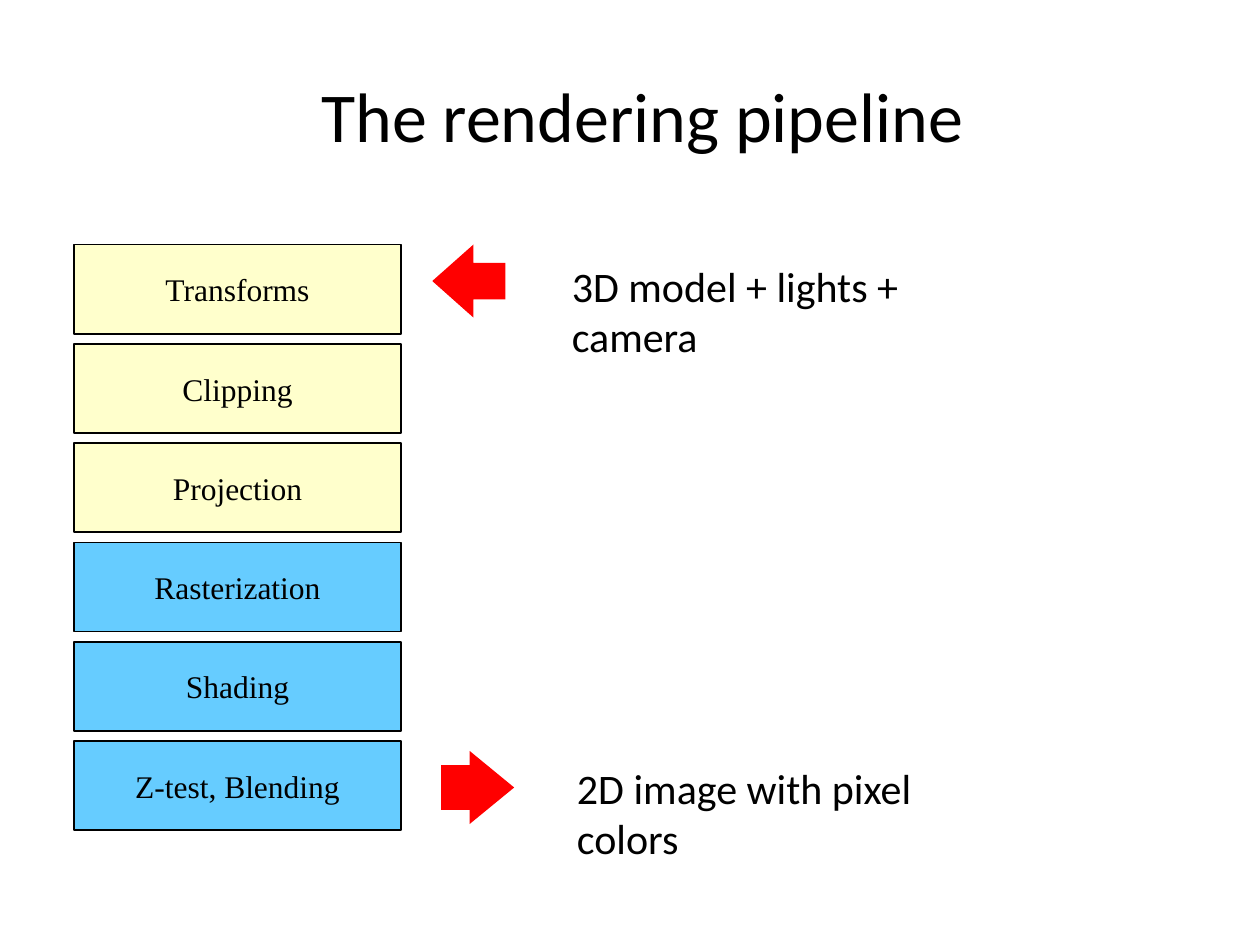
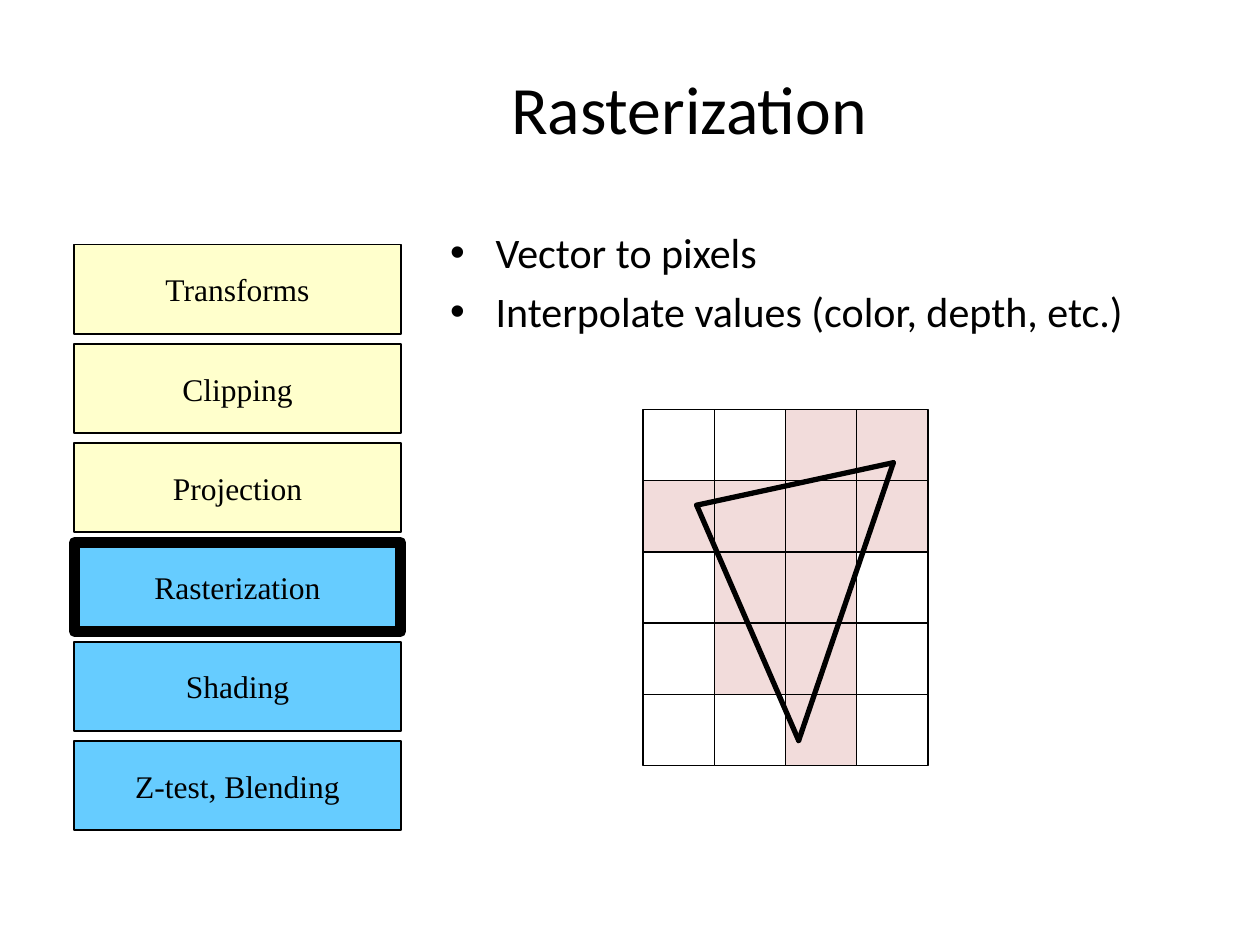
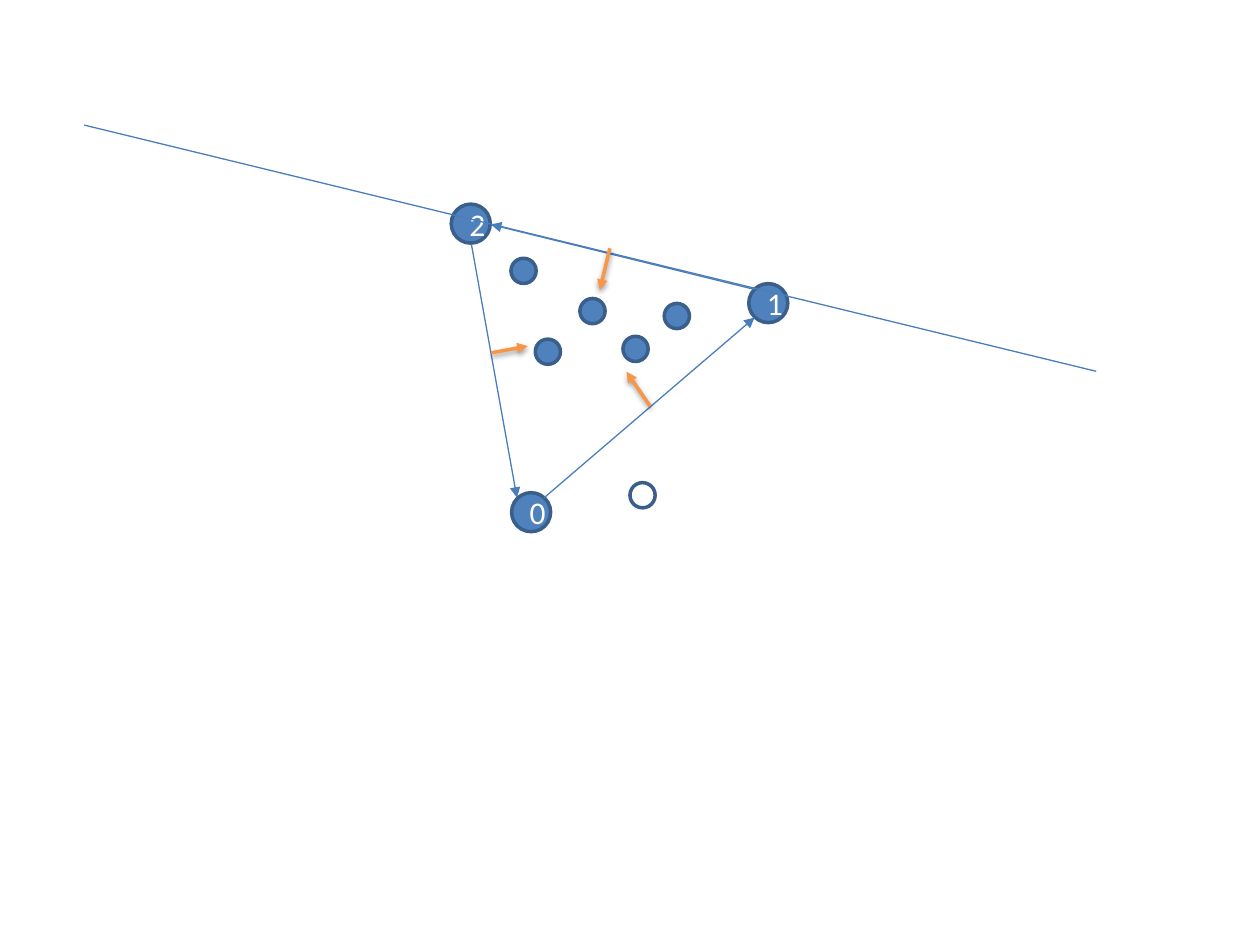
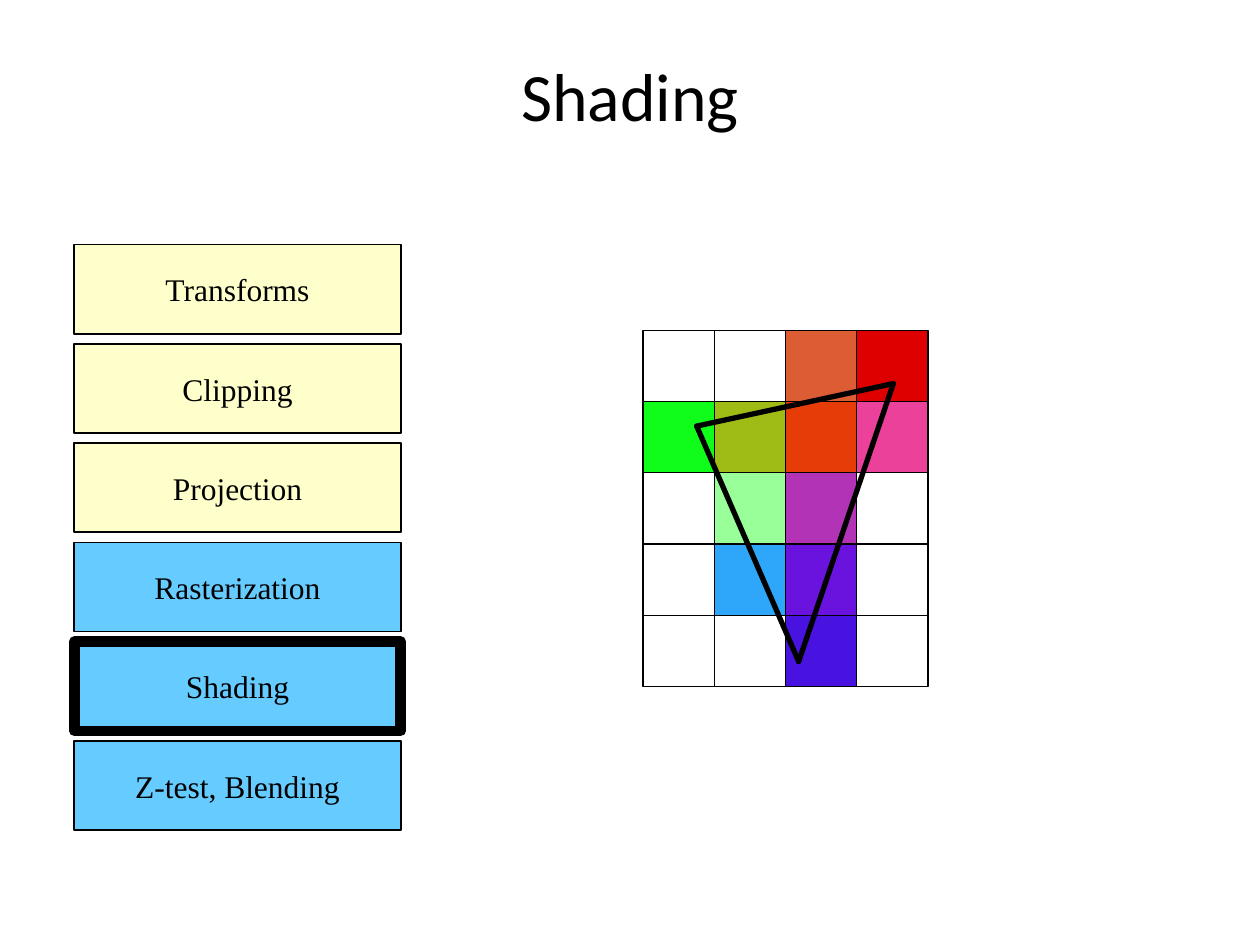
from lxml.etree import SubElement
from pptx import Presentation
from pptx.dml.color import RGBColor
from pptx.enum.shapes import MSO_CONNECTOR, MSO_SHAPE
from pptx.enum.text import MSO_ANCHOR, PP_ALIGN
from pptx.oxml.ns import qn
from pptx.util import Pt

# Shared look
BLACK, WHITE = "000000", "FFFFFF"
YELLOW, SKY, RED, PINK = "FFFFCC", "66CCFF", "FF0000", "F2DCDB"
BLUE, DARK_BLUE, EDGE_BLUE, ORANGE = "4F81BD", "3A5F8B", "4A7EBB", "F79646"
SANS, SERIF = "Calibri", "Times New Roman"

STAGES = [
    ("Transforms", YELLOW), ("Clipping", YELLOW), ("Projection", YELLOW),
    ("Rasterization", SKY), ("Shading", SKY), ("Z-test, Blending", SKY),
]
STAGE_LEFT, STAGE_TOP, STAGE_WIDTH, STAGE_HEIGHT = 42.5, 139.7, 186.5, 51
STAGE_PITCH = 56.75

PIXEL = 40.7
GRID_LEFT = 367.5
TRIANGLE = [(30.6, 54.7), (88.9, 189.2), (143, 30.4)]  # from the grid corner

# Pixel colours by row; None stays white
COVERED = [
    [None, None, PINK, PINK],
    [PINK, PINK, PINK, PINK],
    [None, PINK, PINK, None],
    [None, PINK, PINK, None],
    [None, None, PINK, None],
]
SHADED = [
    [None, None, "DC5C34", "DE0000"],
    ["10FC1B", "9FBB15", "E63D08", "EB419A"],
    [None, "99FF99", "B333B6", None],
    [None, "2EA7FA", "6A13DF", None],
    [None, None, "4812E0", None],
]


def color(hex_code):
    return RGBColor.from_string(hex_code)


def write_text(frame, *lines, size=24, font=SANS, ink=BLACK, align=PP_ALIGN.LEFT,
               anchor=MSO_ANCHOR.TOP, wrap=True, bullet=None, before=0):
    frame.word_wrap = wrap
    frame.vertical_anchor = anchor
    for number, line in enumerate(lines):
        paragraph = frame.add_paragraph() if number else frame.paragraphs[0]
        paragraph.alignment = align
        paragraph.space_before = Pt(before)
        run = paragraph.add_run()
        run.text = line
        run.font.size, run.font.name = Pt(size), font
        run.font.color.rgb = color(ink)
        if bullet:
            properties = paragraph._p.get_or_add_pPr()
            properties.set("marL", str(Pt(27)))
            properties.set("indent", str(Pt(-26)))
            SubElement(properties, qn("a:buFont"), typeface="Arial")
            SubElement(properties, qn("a:buChar"), char=bullet)


def add_text(slide, left, top, width, height, *lines, **text_format):
    box = slide.shapes.add_textbox(Pt(left), Pt(top), Pt(width), Pt(height))
    write_text(box.text_frame, *lines, **text_format)


def add_title(slide, title, left, top, width=612, height=48, size=38.7):
    add_text(slide, left, top, width, height, title, size=size,
             align=PP_ALIGN.CENTER, anchor=MSO_ANCHOR.MIDDLE)


def add_figure(shapes, kind, left, top, width, height, fill, line=None, weight=1):
    figure = shapes.add_shape(kind, Pt(left), Pt(top), Pt(width), Pt(height))
    figure.shadow.inherit = False
    figure.fill.solid()
    figure.fill.fore_color.rgb = color(fill)
    if line:
        figure.line.color.rgb = color(line)
        figure.line.width = Pt(weight)
    else:
        figure.line.fill.background()
    return figure


def add_line(shapes, start, end, ink, weight, arrow=False, shadow=False, cap="flat"):
    edge = shapes.add_connector(MSO_CONNECTOR.STRAIGHT, *map(Pt, start + end))
    edge.line.color.rgb = color(ink)
    edge.line.width = Pt(weight)
    outline = edge.line._get_or_add_ln()
    outline.set("cap", cap)
    if arrow:
        SubElement(outline, qn("a:tailEnd"), type="triangle")
    effects = SubElement(edge._element.spPr, qn("a:effectLst"))
    if shadow:
        outer = SubElement(effects, qn("a:outerShdw"), blurRad=str(Pt(3.1)),
                           dist=str(Pt(1.6)), dir="5400000", rotWithShape="0")
        tint = SubElement(outer, qn("a:srgbClr"), val=BLACK)
        SubElement(tint, qn("a:alpha"), val="38000")


def add_pipeline(slide, current=None):
    for row, (stage, fill) in enumerate(STAGES):
        box = add_figure(slide.shapes, MSO_SHAPE.RECTANGLE, STAGE_LEFT,
                         STAGE_TOP + row * STAGE_PITCH, STAGE_WIDTH, STAGE_HEIGHT,
                         fill, BLACK, 6 if stage == current else 1)
        write_text(box.text_frame, stage, size=18, font=SERIF, wrap=False,
                   align=PP_ALIGN.CENTER, anchor=MSO_ANCHOR.MIDDLE)


def add_flow_arrow(slide, left, top, head, shaft, rotation=0):
    arrow = add_figure(slide.shapes, MSO_SHAPE.LEFT_ARROW, left, top, 41.8, 41.8, RED)
    arrow.adjustments[0], arrow.adjustments[1] = shaft, head
    arrow.rotation = rotation


def add_pixel_grid(slide, top, pixels):
    shapes = slide.shapes.add_group_shape().shapes
    for row, fills in enumerate(pixels):
        for column, fill in enumerate(fills):
            add_figure(shapes, MSO_SHAPE.RECTANGLE, GRID_LEFT + column * PIXEL,
                       top + row * PIXEL, PIXEL, PIXEL, fill or WHITE, BLACK, 0.75)
    corners = [(GRID_LEFT + x, top + y) for x, y in TRIANGLE]
    for start, end in zip(corners, corners[1:] + corners[:1]):
        add_line(shapes, start, end, BLACK, 3, cap="rnd")


def add_point(slide, x, y, diameter=14.4, fill=BLUE):
    return add_figure(slide.shapes, MSO_SHAPE.OVAL, x - diameter / 2, y - diameter / 2,
                      diameter, diameter, fill, DARK_BLUE, 2)


def build_overview(slide):
    add_title(slide, "The rendering pipeline", 31, 20.2, 672, 90, size=40)
    add_pipeline(slide)
    add_flow_arrow(slide, 247, 139.7, head=0.564, shaft=0.499)
    add_flow_arrow(slide, 252, 429.1, head=0.61, shaft=0.612, rotation=180)
    add_text(slide, 319.7, 145.4, 278, 36, "3D model + lights + camera", wrap=False)
    add_text(slide, 322.6, 432, 264, 36, "2D image with pixel colors")


def build_rasterization(slide):
    add_title(slide, "Rasterization", 87.8, 37.4)
    add_text(slide, 249.1, 126, 434.9, 356.4, "Vector to pixels",
             "Interpolate values (color, depth, etc.)", bullet="•", before=4.8)
    add_pipeline(slide, "Rasterization")
    add_pixel_grid(slide, 234, COVERED)


def build_edge_test(slide):
    # Triangle corners
    for label, x, y in [("0", 303.5, 292.7), ("1", 439, 173.2), ("2", 269, 127.8)]:
        corner = add_point(slide, x, y, 22.3)
        write_text(corner.text_frame, label, size=18, ink=WHITE,
                   align=PP_ALIGN.CENTER, anchor=MSO_ANCHOR.MIDDLE)
    # Directed edges and the extended one
    for start, end in [((311, 284.4), (431.2, 181.5)),
                       ((431.2, 165.4), (280.6, 128.3)),
                       ((269.4, 139.6), (295.4, 284.4))]:
        add_line(slide.shapes, start, end, EDGE_BLUE, 0.75, arrow=True)
    add_line(slide.shapes, (626.4, 212.2), (48.2, 71.5), EDGE_BLUE, 0.75)
    # Inward normals
    for start, end in [((348.5, 141.9), (342.8, 165.7)),
                       ((280.8, 201.6), (301.6, 197.8)),
                       ((371.4, 232), (358, 212.4))]:
        add_line(slide.shapes, start, end, ORANGE, 2, arrow=True, shadow=True)
    # Sample points, the first one outside
    add_point(slide, 367.2, 283, fill=WHITE)
    for x, y in [(338.6, 177.8), (386.8, 180.6), (299.2, 154.8),
                 (313.1, 201), (363.2, 199.4)]:
        add_point(slide, x, y)


def build_shading(slide):
    add_title(slide, "Shading", 54, 30.2)
    add_pipeline(slide, "Shading")
    add_pixel_grid(slide, 188.8, SHADED)


def main():
    deck = Presentation()
    deck.slide_width, deck.slide_height = Pt(720), Pt(540)
    for build in (build_overview, build_rasterization, build_edge_test, build_shading):
        build(deck.slides.add_slide(deck.slide_layouts[6]))
    deck.save("out.pptx")


if __name__ == "__main__":
    main()
